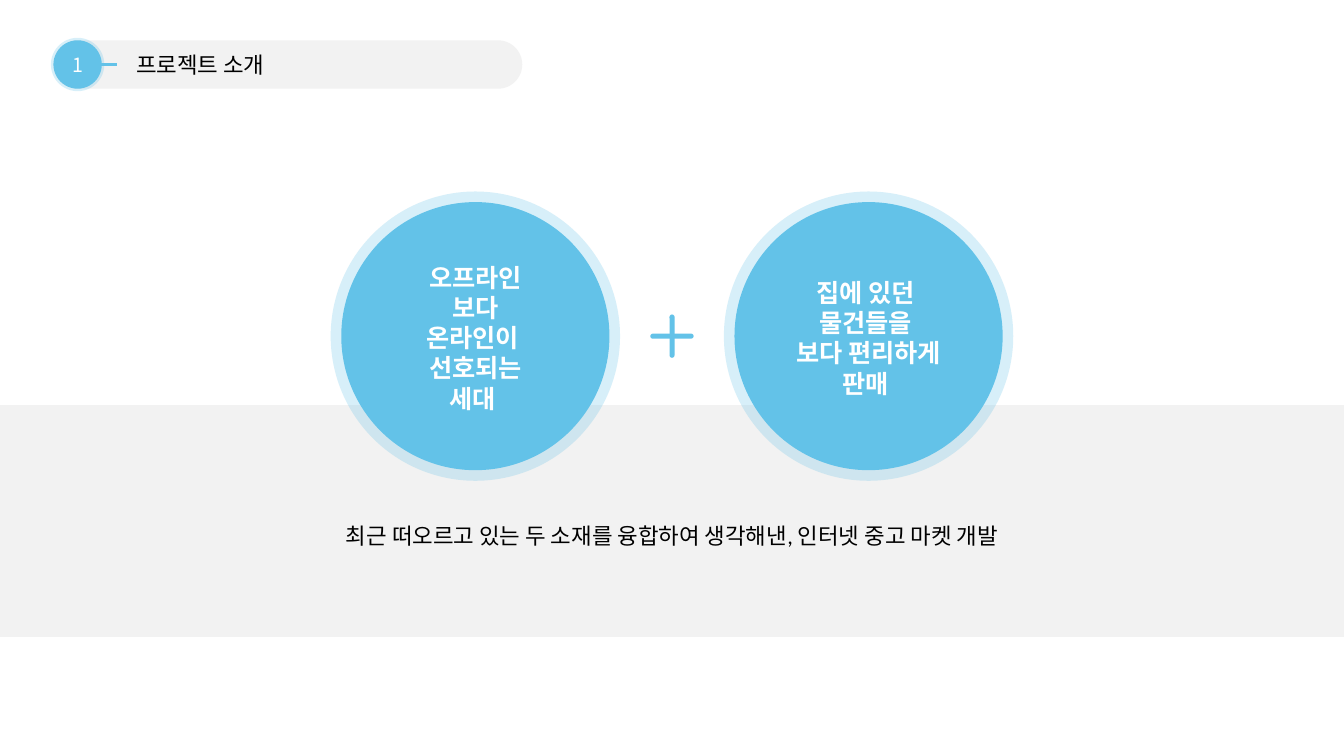
from lxml.etree import SubElement
from pptx import Presentation
from pptx.dml.color import RGBColor
from pptx.enum.shapes import MSO_CONNECTOR, MSO_SHAPE
from pptx.enum.text import MSO_ANCHOR, MSO_AUTO_SIZE, PP_ALIGN
from pptx.oxml.ns import qn
from pptx.util import Inches, Pt

COLORS = {"sky": "63C2E8", "gray": "F2F2F2", "black": "000000", "white": "FFFFFF"}
KOREAN_FONT = "Noto Sans CJK KR"
TITLE_STYLE = {"name": KOREAN_FONT, "size": Pt(16), "bold": False}
NUMBER_STYLE = {"name": KOREAN_FONT, "size": Pt(14), "bold": False}
IDEA_STYLE = {"name": "Calibri", "size": Pt(18), "bold": True}
SUMMARY_STYLE = {"name": "Calibri", "size": Pt(16), "bold": False}

IDEAS = [
    ["오프라인", "보다", "온라인이 ", "선호되는", "세대 "],
    ["집에 있던 ", "물건들을 ", "보다 편리하게", "판매 "],
]


def add_block(page, kind, left, top, width, height, color, alpha=None):
    block = page.shapes.add_shape(kind, Inches(left), Inches(top), Inches(width), Inches(height))
    block.shadow.inherit = False
    block.fill.solid()
    block.fill.fore_color.rgb = RGBColor.from_string(COLORS[color])
    block.line.fill.background()
    if kind == MSO_SHAPE.ROUNDED_RECTANGLE:
        block.adjustments[0] = 0.5
    if alpha is not None:
        tint = block.fill._xPr.find(".//" + qn("a:srgbClr"))
        SubElement(tint, qn("a:alpha"), val=str(alpha * 1000))
    return block


def add_circle(page, center_x, center_y, diameter, alpha=None):
    return add_block(page, MSO_SHAPE.OVAL, center_x - diameter / 2, center_y - diameter / 2,
                     diameter, diameter, "sky", alpha)


def write(shape, lines, style, color, align=PP_ALIGN.CENTER, anchor=MSO_ANCHOR.TOP):
    frame = shape.text_frame
    frame.word_wrap = True
    frame.auto_size = MSO_AUTO_SIZE.NONE
    frame.vertical_anchor = anchor
    for index, line in enumerate(lines):
        para = frame.add_paragraph() if index else frame.paragraphs[0]
        para.alignment = align
        span = para.add_run()
        span.text = line
        for name, value in style.items():
            setattr(span.font, name, value)
        span.font.color.rgb = RGBColor.from_string(COLORS[color])
        SubElement(span._r.get_or_add_rPr(), qn("a:ea"), typeface=KOREAN_FONT)


def add_text(page, left, top, width, height, lines, style, color):
    box = page.shapes.add_textbox(Inches(left), Inches(top), Inches(width), Inches(height))
    write(box, lines, style, color)


def add_header(page, left, top, width, height):
    add_block(page, MSO_SHAPE.ROUNDED_RECTANGLE, left, top, width, height, "gray")
    title = page.shapes.title
    place = {"left": left + 0.72, "top": top + 0.06, "width": 3.74, "height": 0.37}
    for name, value in place.items():
        setattr(title, name, Inches(value))
    write(title, ["프로젝트 소개"], TITLE_STYLE, "black", PP_ALIGN.LEFT)
    page.shapes._spTree.append(title._element)

    center_x, center_y = left + height / 2, top + height / 2
    add_circle(page, center_x, center_y, height + 0.05, 25)
    dash = page.shapes.add_connector(MSO_CONNECTOR.STRAIGHT, Inches(center_x), Inches(center_y),
                                     Inches(center_x + 0.39), Inches(center_y))
    dash.line.color.rgb = RGBColor.from_string(COLORS["sky"])
    dash.line.width = Pt(2.25)
    SubElement(dash._element.spPr, qn("a:effectLst"))
    badge = add_circle(page, center_x, center_y, height)
    write(badge, ["1"], NUMBER_STYLE, "white", anchor=MSO_ANCHOR.MIDDLE)


def add_idea(page, left, top, diameter, lines):
    center_x, center_y = left + diameter / 2, top + diameter / 2
    add_circle(page, center_x, center_y, diameter, 25)
    add_circle(page, center_x, center_y, diameter - 0.21)
    width, height = 1.79, 0.3 * len(lines) + 0.11
    add_text(page, center_x - width / 2, center_y + 0.02 - height / 2, width, height,
             lines, IDEA_STYLE, "white")


def add_plus(page, center_x, center_y, length, thickness):
    for angle in (0, 90):
        bar = add_block(page, MSO_SHAPE.ROUNDED_RECTANGLE, center_x - length / 2,
                        center_y - thickness / 2, length, thickness, "sky")
        bar.rotation = angle


def add_ideas(page, left, top, diameter, gap):
    for index, lines in enumerate(IDEAS):
        add_idea(page, left + index * (diameter + gap), top, diameter, lines)
    add_plus(page, left + diameter + gap / 2, top + diameter / 2, 0.43, 0.05)


def add_summary_band(page, left, top, width, height):
    add_block(page, MSO_SHAPE.RECTANGLE, left, top, width, height, "gray")
    text_width = 7.51
    add_text(page, left + (width - text_width) / 2, top + 1.11, text_width, 0.37,
             ["최근 떠오르고 있는 두 소재를 융합하여 생각해낸, 인터넷 중고 마켓 개발"],
             SUMMARY_STYLE, "black")


def main():
    deck = Presentation()
    deck.slide_width, deck.slide_height = Inches(13.33), Inches(7.5)
    page = deck.slides.add_slide(deck.slide_layouts[5])
    add_header(page, 0.53, 0.4, 4.65, 0.48)
    add_summary_band(page, 0, 4.02, 13.33, 2.3)
    add_ideas(page, 3.28, 1.9, 2.87, 1.03)
    deck.save("out.pptx")


if __name__ == "__main__":
    main()
